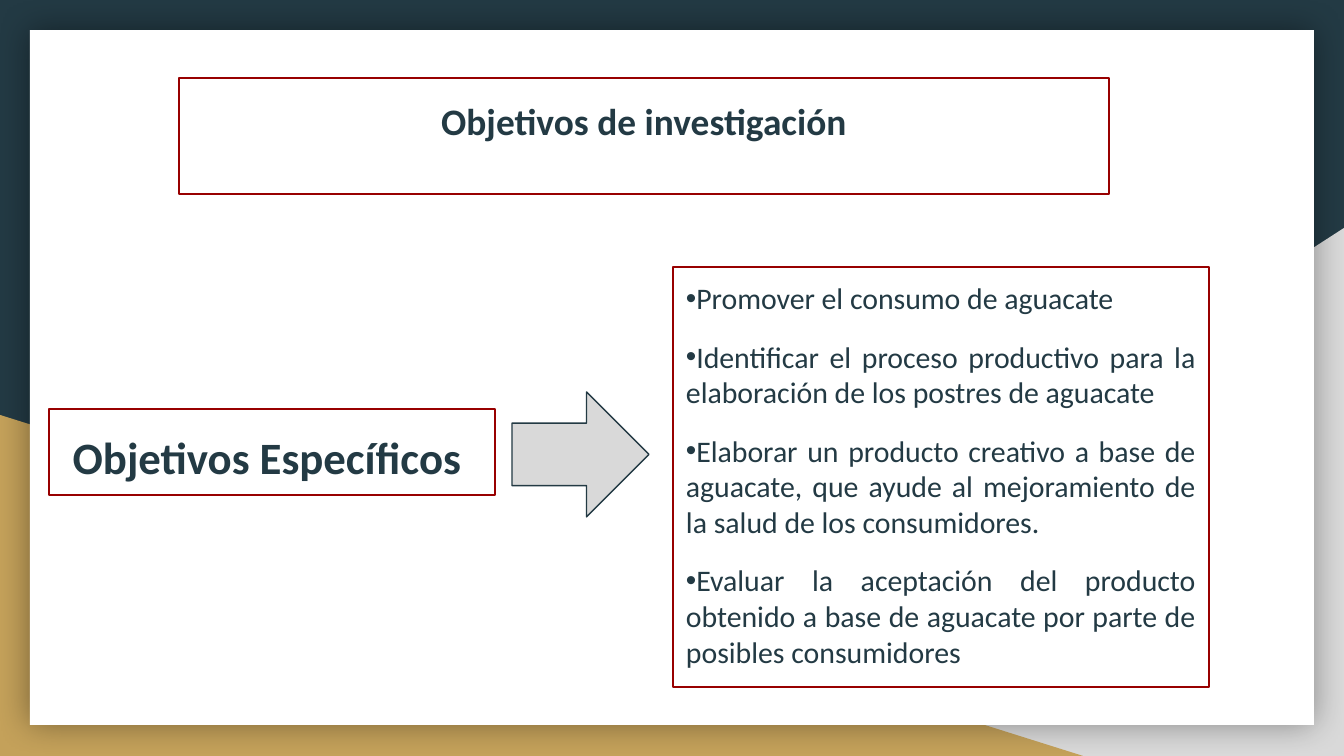
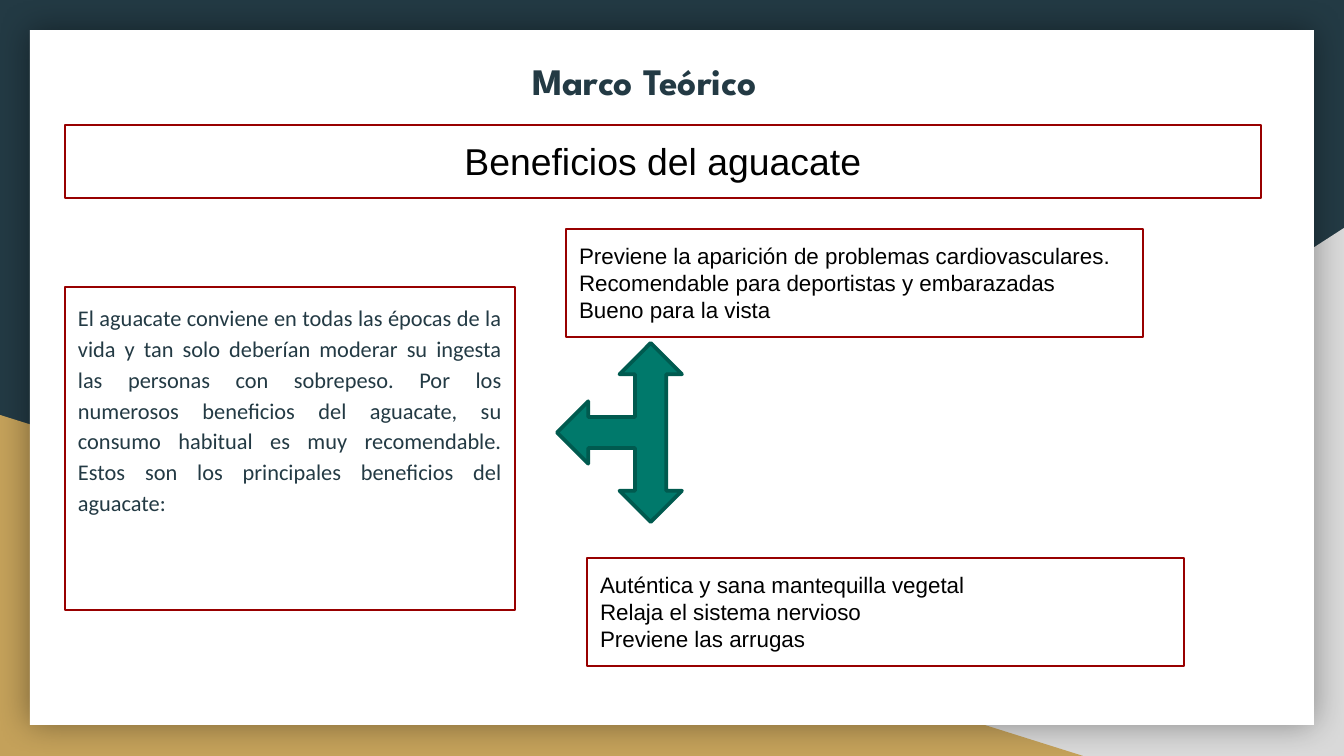
from lxml import etree
from pptx import Presentation
from pptx.dml.color import RGBColor
from pptx.enum.shapes import MSO_SHAPE
from pptx.enum.text import MSO_ANCHOR, PP_ALIGN
from pptx.oxml.ns import qn
from pptx.util import Pt

RECT = MSO_SHAPE.RECTANGLE
WEDGE = MSO_SHAPE.RIGHT_TRIANGLE
RIGHT = MSO_SHAPE.RIGHT_ARROW
THREE = MSO_SHAPE.LEFT_RIGHT_UP_ARROW
MID, JUST = PP_ALIGN.CENTER, PP_ALIGN.JUSTIFY

SCALE = 914400 / 134.4
WIDE, HIGH = 1344, 756

HEX = {
    "navy": "233A44", "gray": "D9D9D9", "gold": "C4A15A", "white": "FFFFFF",
    "red": "980000", "black": "000000", "green": "00796B", "pine": "005A4F",
}

# Text styles: font values, paragraph values, colour
HEAD = {"font": {"name": "Calibri", "size": Pt(20), "bold": True},
        "para": {"alignment": MID, "line_spacing": 1.15, "space_after": Pt(12)},
        "color": "navy"}
LABEL = {**HEAD, "font": {**HEAD["font"], "size": Pt(24)}}
TITLE = {"font": {**HEAD["font"], "name": "League Spartan"},
         "para": {"alignment": MID}, "color": "navy"}
GOALS = {"font": {"name": "Calibri", "size": Pt(16)},
         "para": {"alignment": JUST, "space_after": Pt(12)},
         "color": "navy", "bullet": "•"}
BODY = {"font": {"name": "Calibri", "size": Pt(12)},
        "para": {**HEAD["para"], "alignment": JUST}, "color": "navy"}
BANNER = {"font": {"name": "Arial", "size": Pt(20)},
          "para": {"alignment": MID}, "color": "black"}
NOTE = {"font": {"name": "Arial", "size": Pt(12)},
        "para": {"alignment": JUST}, "color": "black"}


def px(num):
    return round(num * SCALE)


def rgb(name):
    return RGBColor.from_string(HEX[name])


def apply(target, values):
    for key, value in values.items():
        setattr(target, key, value)


def shape(slide, kind, spot, fill=None, line=None, width=0.75):
    item = slide.shapes.add_shape(kind, *map(px, spot))
    item.shadow.inherit = False
    if fill:
        item.fill.solid()
        item.fill.fore_color.rgb = rgb(fill)
    else:
        item.fill.background()
    if line:
        item.line.color.rgb = rgb(line)
        item.line.width = Pt(width)
    else:
        item.line.fill.background()
    return item


def glow(item):
    """Soft dark shadow on every side."""
    effects = item.element.spPr.find(qn("a:effectLst"))
    outer = etree.SubElement(effects, qn("a:outerShdw"),
                             blurRad=str(Pt(18)), dist="0", dir="0",
                             algn="ctr", rotWithShape="0")
    color = etree.SubElement(outer, qn("a:srgbClr"), val=HEX["black"])
    etree.SubElement(color, qn("a:alpha"), val="40000")


def bullet(para, mark, tint):
    props = para._p.get_or_add_pPr()
    apply_xml = {"marL": "0", "indent": "0"}
    for key, value in apply_xml.items():
        props.set(key, value)
    color = etree.SubElement(props, qn("a:buClr"))
    etree.SubElement(color, qn("a:srgbClr"), val=HEX[tint])
    etree.SubElement(props, qn("a:buFont"), typeface="Arial")
    etree.SubElement(props, qn("a:buChar"), char=mark)


def box(slide, spot, style, *lines, line="red"):
    """Text in a thin frame, one paragraph for each line."""
    item = shape(slide, RECT, spot, line=line)
    frame = item.text_frame
    inset = px(13)
    apply(frame, {"word_wrap": True, "vertical_anchor": MSO_ANCHOR.TOP,
                  "margin_left": inset, "margin_right": inset,
                  "margin_top": inset, "margin_bottom": inset})
    for num, words in enumerate(lines):
        para = frame.add_paragraph() if num else frame.paragraphs[0]
        apply(para, style["para"])
        if "bullet" in style:
            bullet(para, style["bullet"], style["color"])
        run = para.add_run()
        run.text = words
        apply(run.font, style["font"])
        run.font.color.rgb = rgb(style["color"])


def page(deck):
    """Blank slide with the coloured corners and the white sheet."""
    slide = deck.slides.add_slide(deck.slide_layouts[6])
    back = slide.background.fill
    back.solid()
    back.fore_color.rgb = rgb("navy")
    right = shape(slide, WEDGE, (527, 228, 817, 528), "gray")
    right.element.spPr.get_or_add_xfrm().set("flipH", "1")
    shape(slide, WEDGE, (0, 415, 1083, 341), "gold")
    glow(shape(slide, RECT, (30, 30, 1284, 695), "white"))
    return slide


def aims(deck):
    slide = page(deck)
    box(slide, (179, 78, 930, 116), HEAD, "Objetivos de investigación")
    box(slide, (49, 409, 446, 86), LABEL, "Objetivos Específicos ")
    shape(slide, RIGHT, (512, 392, 137, 125), "gray", "navy")
    box(slide, (673, 267, 536, 420), GOALS,
        "Promover el consumo de aguacate ",
        "Identificar el proceso productivo para la elaboración de los "
        "postres de aguacate ",
        "Elaborar un producto creativo a base de aguacate, que ayude al "
        "mejoramiento de la salud de los consumidores. ",
        "Evaluar la aceptación del producto obtenido a base de aguacate "
        "por parte de posibles consumidores")


def theory(deck):
    slide = page(deck)
    box(slide, (93, 45, 1103, 90), TITLE, "Marco Teórico", line=None)
    box(slide, (65, 287, 450, 323), BODY,
        "El aguacate conviene en todas las épocas de la vida y tan solo "
        "deberían moderar su ingesta las personas con sobrepeso. Por los "
        "numerosos beneficios del aguacate, su consumo habitual es muy "
        "recomendable. Estos son los principales beneficios del aguacate:")
    box(slide, (65, 125, 1196, 73), BANNER, "Beneficios del aguacate")
    box(slide, (587, 558, 597, 108), NOTE,
        "Auténtica y sana mantequilla vegetal",
        "Relaja el sistema nervioso",
        "Previene las arrugas")
    box(slide, (566, 229, 577, 108), NOTE,
        "Previene la aparición de problemas cardiovasculares.",
        "Recomendable para deportistas y embarazadas ",
        "Bueno para la vista")
    arrow = shape(slide, THREE, (530, 370, 179, 125), "green", "pine", 2)
    arrow.rotation = 270


def main():
    deck = Presentation()
    apply(deck, {"slide_width": px(WIDE), "slide_height": px(HIGH)})
    aims(deck)
    theory(deck)
    deck.save("out.pptx")


if __name__ == "__main__":
    main()
